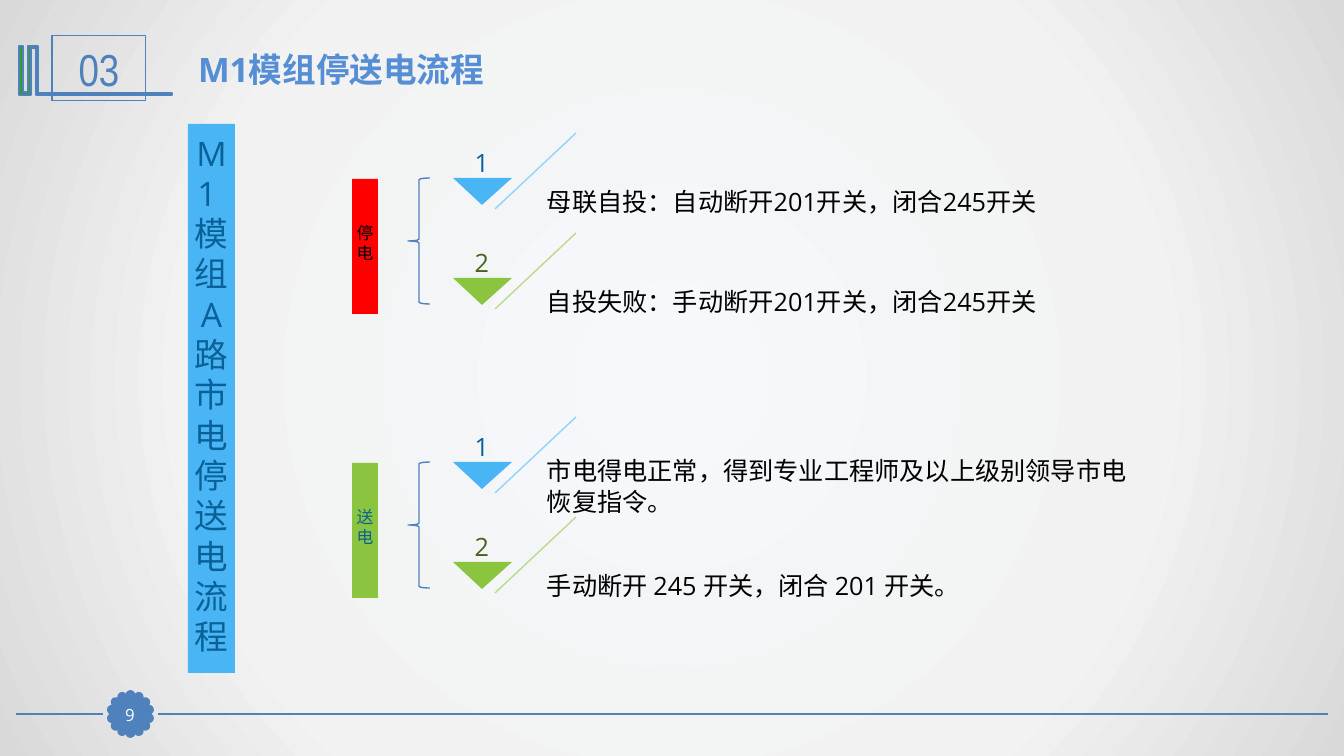
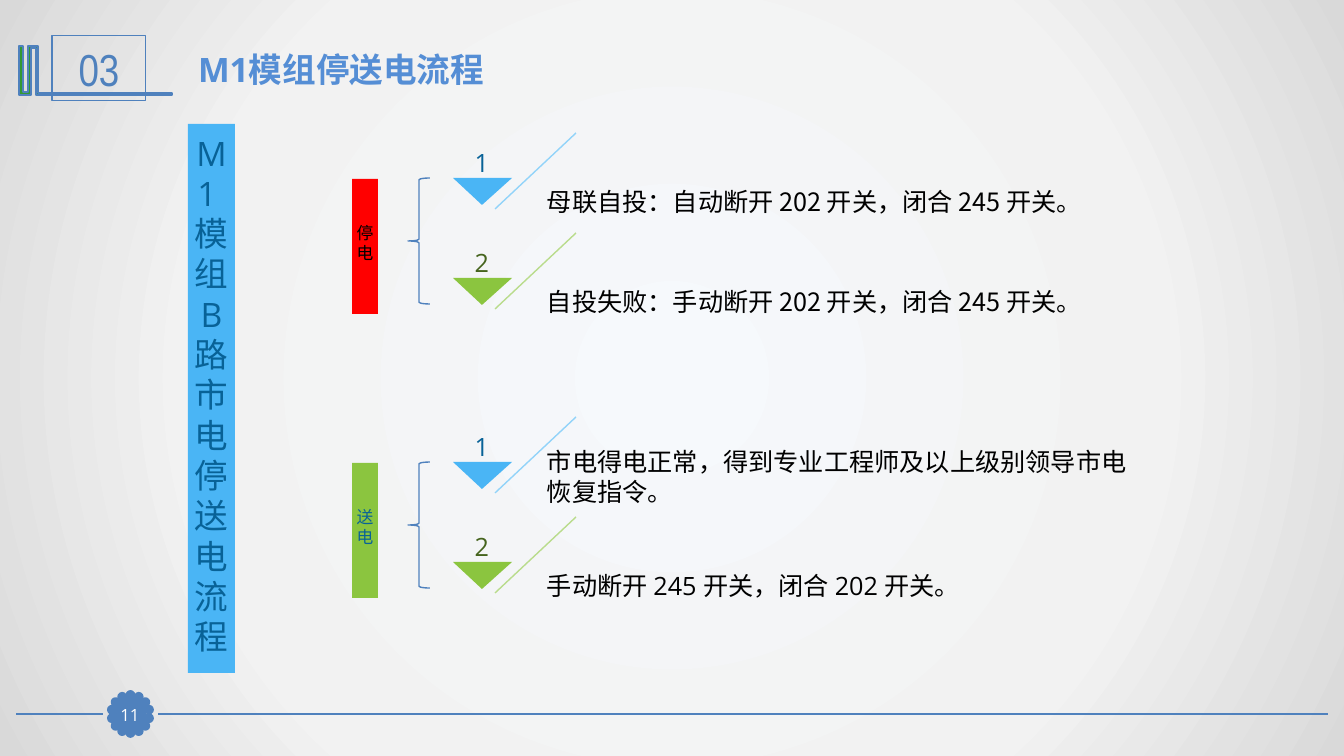
from dataclasses import dataclass
from math import cos, pi, sin

from lxml.etree import SubElement
from pptx import Presentation
from pptx.dml.color import RGBColor
from pptx.enum.shapes import MSO_CONNECTOR as Link, MSO_SHAPE as Kind
from pptx.enum.text import MSO_ANCHOR as Anchor, MSO_AUTO_SIZE as Auto, PP_ALIGN as Align
from pptx.oxml.ns import qn
from pptx.util import Pt

SCALE = 914400 / 100.8
STEP_GAP = 100
PART_GAP = 284


@dataclass(frozen=True)
class Theme:
    """Colours, fonts and type sizes of the deck."""
    main: str = "4F81BD"
    title: str = "558ED5"
    mark: str = "339933"
    blue: str = "4AB5F5"
    navy: str = "086297"
    sky: str = "92D3F9"
    green: str = "8BC53F"
    moss: str = "46641E"
    lime: str = "B9DC8C"
    red: str = "FF0000"
    black: str = "000000"
    white: str = "FFFFFF"
    back: tuple = ((0, "F6F9FC"), (63, "F2F2F2"), (100, "D9D9D9"))
    sans: str = "Open Sans"
    asian: str = "Noto Sans CJK SC"
    slim: str = "Arial Narrow"
    huge: int = 32
    large: int = 24
    text: int = 18
    small: int = 12


T = Theme()
# Each step's fill, number colour and slash colour
TONES = ((T.blue, T.navy, T.sky), (T.green, T.moss, T.lime))


@dataclass(frozen=True)
class Step:
    """One numbered step; shift and height place its text box."""
    text: str
    font: str = T.sans
    shift: int = 0
    height: int = 69


def px(*nums):
    """Turn pixels into EMU."""
    return [round(n * SCALE) for n in nums]


def rgb(code):
    """Turn a hex code into a colour."""
    return RGBColor.from_string(code)


def paint(shape, fill=None, line=None, width=1):
    """Set fill and line, and drop the shadow."""
    shape.shadow.inherit = False
    if fill:
        shape.fill.solid()
        shape.fill.fore_color.rgb = rgb(fill)
    else:
        shape.fill.background()
    if line:
        shape.line.color.rgb = rgb(line)
        shape.line.width = Pt(width)
    else:
        shape.line.fill.background()


def write(shape, text, size, color, font=T.sans, align=Align.CENTER,
          anchor=Anchor.MIDDLE, pad=None, bold=False):
    """Fill a text frame; pad gives left, top, right and bottom insets."""
    frame = shape.text_frame
    frame.text = text
    frame.word_wrap = True
    frame.auto_size = Auto.NONE
    frame.vertical_anchor = anchor
    if pad:
        (frame.margin_left, frame.margin_top,
         frame.margin_right, frame.margin_bottom) = px(*pad)
    for para in frame.paragraphs:
        para.alignment = align
        face = para.font
        face.size, face.bold = Pt(size), bold
        face.color.rgb = rgb(color)
        face.name = font
        SubElement(face._element, qn("a:ea"), typeface=T.asian)


def block(slide, kind, box, fill=None, line=None, width=1):
    """Add a preset shape."""
    shape = slide.shapes.add_shape(kind, *px(*box))
    paint(shape, fill, line, width)
    return shape


def label(slide, box, *args, **style):
    """Add a text box."""
    write(slide.shapes.add_textbox(*px(*box)), *args, **style)


def rule(slide, ends, color, width):
    """Add a straight line."""
    line = slide.shapes.add_connector(Link.STRAIGHT, *px(*ends))
    line.line.color.rgb = rgb(color)
    line.line.width = Pt(width)
    SubElement(line.element.spPr, qn("a:effectLst"))


def outline(slide, points, *look):
    """Add a closed outline through the points."""
    pen = slide.shapes.build_freeform(*points[0], scale=SCALE)
    pen.add_line_segments(points[1:], close=True)
    paint(pen.convert_to_shape(), *look)


def backdrop(master):
    """Give the master a round gradient."""
    master.background.fill.gradient()
    grad = master.element.find(".//" + qn("a:gradFill"))
    grad.clear()
    stops = SubElement(grad, qn("a:gsLst"))
    for spot, color in T.back:
        stop = SubElement(stops, qn("a:gs"), pos=str(spot * 1000))
        SubElement(stop, qn("a:srgbClr"), val=color)
    way = SubElement(grad, qn("a:path"), path="circle")
    SubElement(way, qn("a:fillToRect"), {side: "50000" for side in "ltrb"})


def furnish(layout, slide):
    """Draw the shared parts on a slide, then move them to its layout."""
    for holder in list(layout.placeholders)[1:]:
        layout.shapes.element.remove(holder.element)
    for ends in ((1328, 714, 158, 714), (103, 714, 16, 714)):
        rule(slide, ends, T.main, 1.25)
    count, reach, size = 14, 19, 7
    for i in range(count):
        turn = 2 * pi * i / count
        left = 130.5 + reach * sin(turn) - size / 2
        top = 714 - reach * cos(turn) - size / 2
        block(slide, Kind.OVAL, (left, top, size, size), T.main, T.main, 2)
    outline(slide, [(37, 46), (38, 46), (38, 93), (172, 93), (172, 95), (36, 95),
                    (36, 48), (31, 48), (31, 95), (19, 95), (19, 46), (23, 46),
                    (23, 92), (28, 92), (28, 46)], T.mark, T.main, 2)
    box = block(slide, Kind.RECTANGLE, (52, 36, 94, 65), None, T.main, 0.75)
    write(box, "03", T.huge, T.main, T.slim)
    for shape in list(slide.shapes):
        if not shape.is_placeholder:
            layout.shapes.element.append(shape.element)


def head(slide, text, page):
    """Set the title and the page number."""
    title = slide.shapes.title
    title.left, title.top, title.width, title.height = px(188, 44, 977, 50)
    write(title, text, T.large, T.title, align=Align.LEFT, anchor=Anchor.TOP, bold=True)
    badge = block(slide, Kind.RECTANGLE, (114, 699, 32, 31), T.main, T.main, 0.75)
    write(badge, str(page), T.small, T.white, pad=(0, 0, 0, 0))


def banner(slide, box, text, size, color, fill):
    """Add a narrow bar whose text runs down."""
    bar = block(slide, Kind.RECTANGLE, box, fill)
    write(bar, text, size, color, pad=(0, 0, 0, 8))


def draw_step(slide, num, step, top):
    """Draw a numbered triangle, its slash and its text."""
    fill, ink, slash = TONES[num - 1]
    rule(slide, (576, top - 45, 495, top + 31), slash, 1)
    outline(slide, [(453, top), (512, top), (482, top + 27)], fill)
    label(slide, (537, top - 11 + step.shift, 612, step.height), step.text,
          T.text, T.black, step.font, Align.LEFT)
    label(slide, (451, top - 60, 62, 60), str(num), T.text, ink,
          anchor=Anchor.BOTTOM, pad=(0, 0, 0, 0))


def draw_part(slide, top, name, ink, fill, steps):
    """Draw a tag, its brace and its steps."""
    for i, step in enumerate(steps):
        draw_step(slide, i + 1, step, top + i * STEP_GAP)
    banner(slide, (352, top + 1, 26, 135), name, T.small, ink, fill)
    block(slide, Kind.LEFT_BRACE, (408, top, 22, 126), None, T.main)


def main():
    """Build both slides and save them."""
    deck = Presentation()
    deck.slide_width, deck.slide_height = px(1344, 756)
    backdrop(deck.slide_master)
    layout = deck.slide_layouts[5]
    order = "市电得电正常，得到专业工程师及以上级别领导市电恢复指令。"
    pages = (
        (9, "A",
         (Step("母联自投：自动断开201开关，闭合245开关"),
          Step("自投失败：手动断开201开关，闭合245开关")),
         (Step(order, shift=-19, height=108),
          Step("手动断开 245 开关，闭合 201 开关。"))),
        (11, "B",
         (Step("母联自投：自动断开 202 开关，闭合 245 开关。", T.asian),
          Step("自投失败：手动断开 202 开关，闭合 245 开关。", T.asian)),
         (Step(order, shift=-11, height=73),
          Step("手动断开 245 开关，闭合 202 开关。"))),
    )
    for i, (page, route, stop, start) in enumerate(pages):
        slide = deck.slides.add_slide(layout)
        if i == 0:
            furnish(layout, slide)
        head(slide, "M1模组停送电流程", page)
        banner(slide, (188, 124, 47, 549), f"M1 \n模组 {route} 路市电停送电流程",
               T.large, T.navy, T.blue)
        draw_part(slide, 178, "停电", T.black, T.red, stop)
        draw_part(slide, 178 + PART_GAP, "送电", T.navy, T.green, start)
    deck.save("out.pptx")


main()
